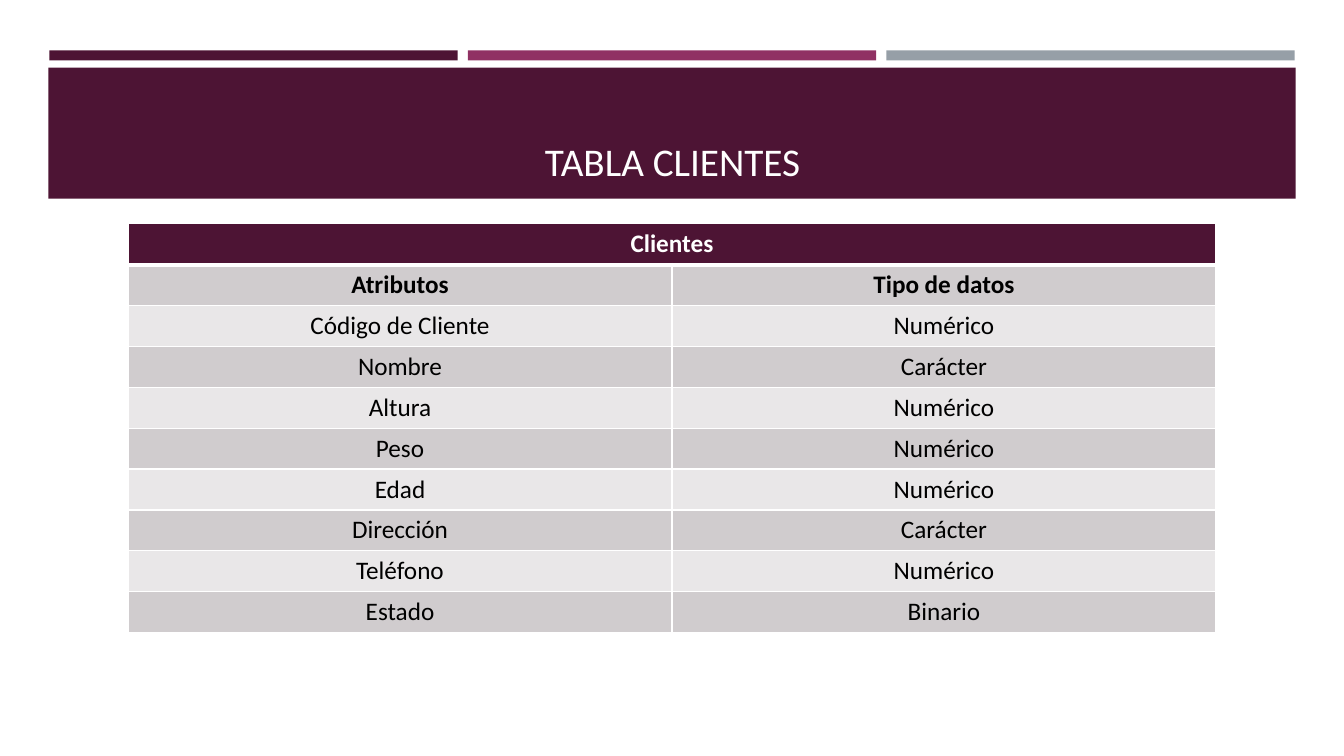
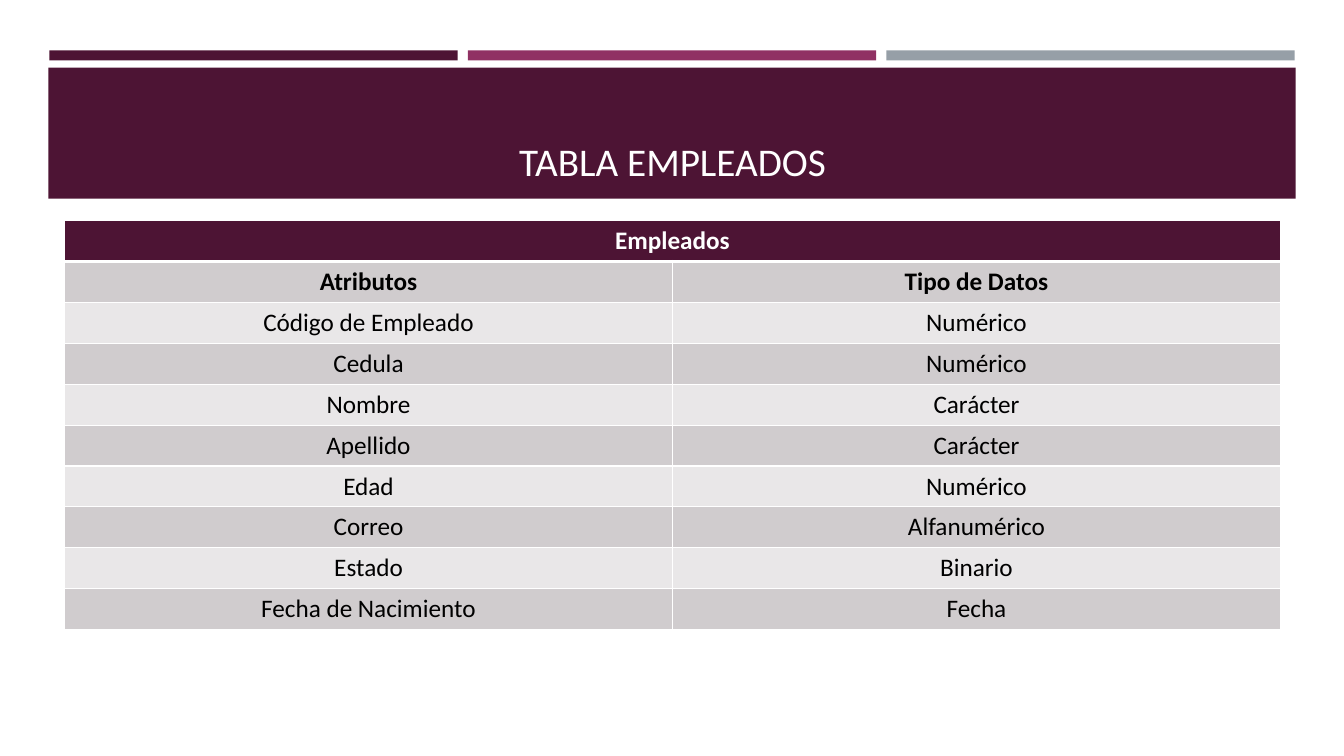
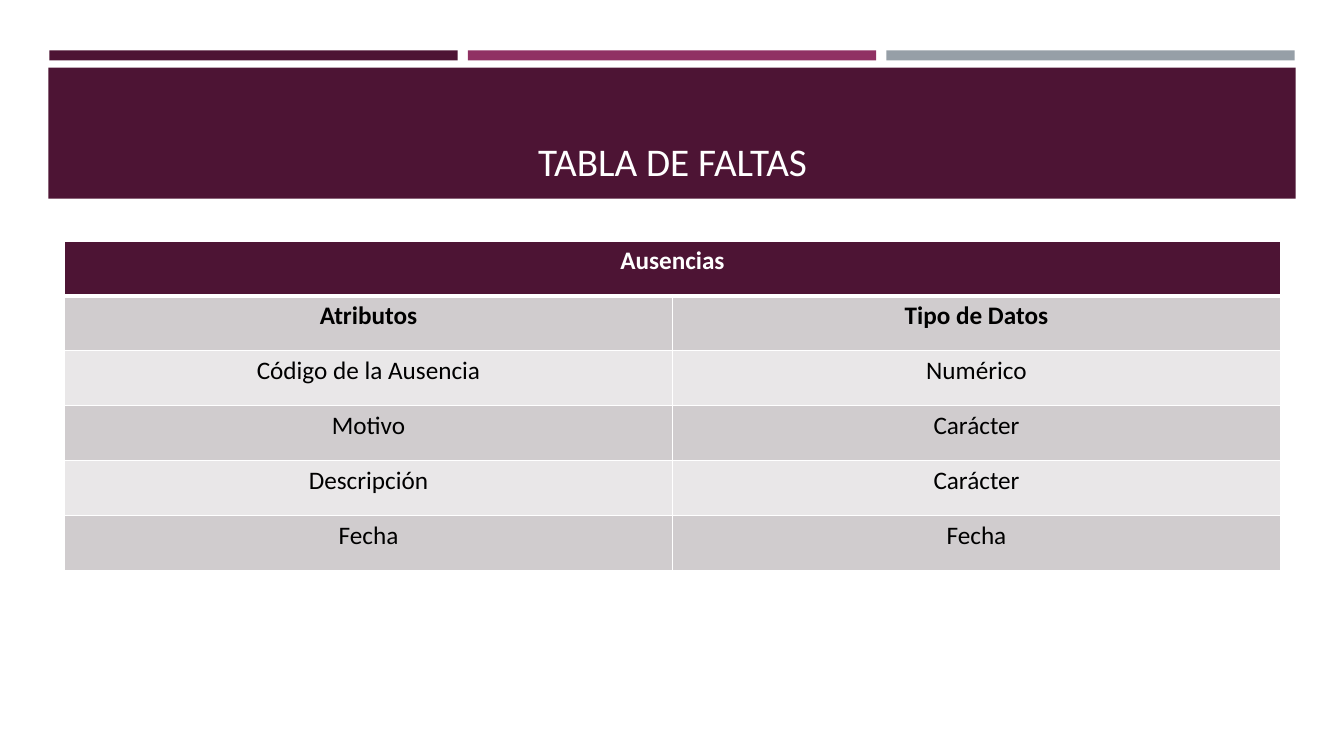
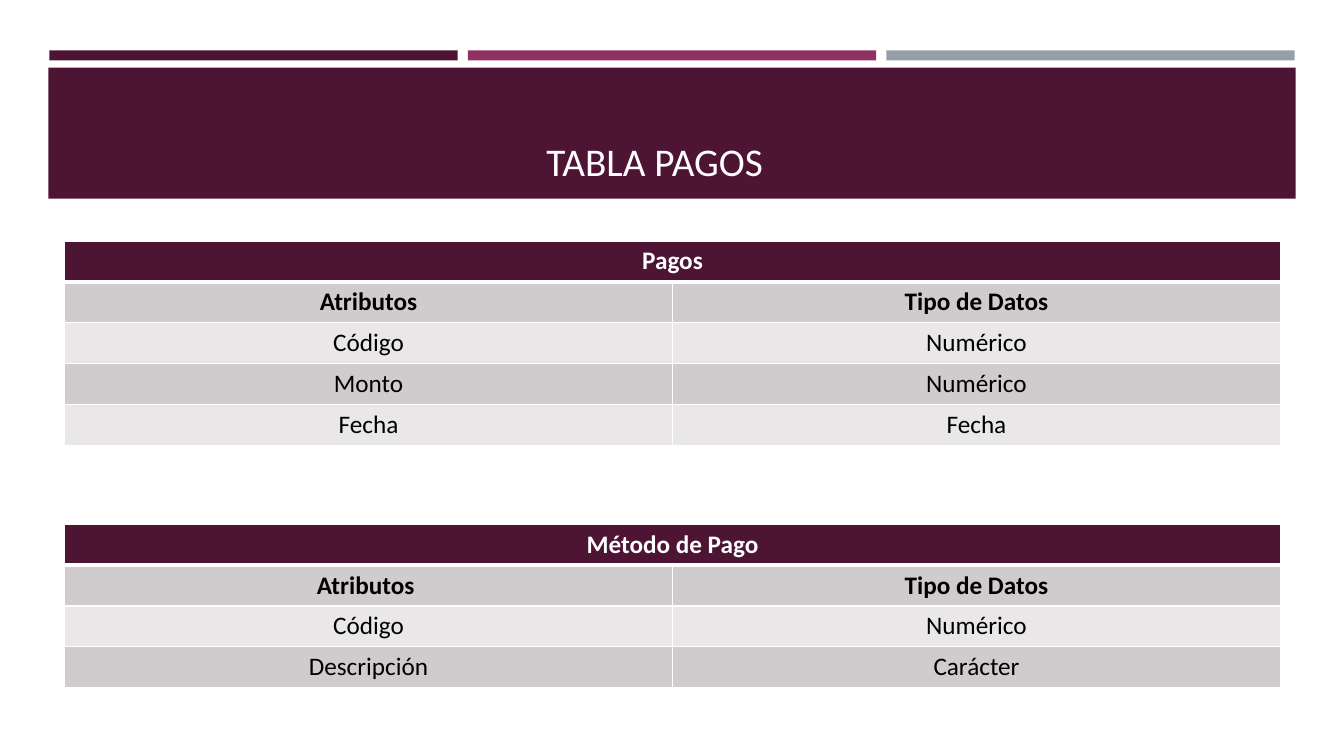
"""Build four slides of tables that list attributes and their data types."""
import pptx
import pptx.dml.color
import pptx.enum.shapes
import pptx.enum.text
import pptx.oxml
import pptx.oxml.ns
import pptx.util

Inches = pptx.util.Inches
Pt = pptx.util.Pt
RGBColor = pptx.dml.color.RGBColor

PLUM = RGBColor(0x4D, 0x14, 0x34)
BERRY = RGBColor(0x90, 0x31, 0x63)
STEEL = RGBColor(0x96, 0x9F, 0xA7)
DARK = RGBColor(0xD0, 0xCC, 0xCE)
LIGHT = RGBColor(0xE9, 0xE7, 0xE8)
WHITE = RGBColor(0xFF, 0xFF, 0xFF)
BLACK = RGBColor(0x00, 0x00, 0x00)
FONT = "Calibri"
LEFT, WIDTH = 0.64, 12.06

CLIENTS = [
    ("Atributos", "Tipo de datos"),
    ("Código de Cliente", "Numérico"),
    ("Nombre", "Carácter"),
    ("Altura", "Numérico"),
    ("Peso", "Numérico"),
    ("Edad", "Numérico"),
    ("Dirección", "Carácter"),
    ("Teléfono", "Numérico"),
    ("Estado", "Binario"),
]
STAFF = [
    ("Atributos", "Tipo de Datos"),
    ("Código de Empleado", "Numérico"),
    ("Cedula", "Numérico"),
    ("Nombre", "Carácter"),
    ("Apellido", "Carácter"),
    ("Edad", "Numérico"),
    ("Correo", "Alfanumérico"),
    ("Estado", "Binario"),
    ("Fecha de Nacimiento", "Fecha"),
]
ABSENCE = [
    ("Atributos", "Tipo de Datos"),
    ("Código de la Ausencia", "Numérico"),
    ("Motivo", "Carácter"),
    ("Descripción", "Carácter"),
    ("Fecha", "Fecha"),
]
PAYMENT = [
    ("Atributos", "Tipo de Datos"),
    ("Código", "Numérico"),
    ("Monto", "Numérico"),
    ("Fecha", "Fecha"),
]
METHOD = [
    ("Atributos ", "Tipo de Datos"),
    ("Código", "Numérico"),
    ("Descripción", "Carácter"),
]


def write(frame, text, size, color, bold=False):
    """Put one centred run into a text frame."""
    par = frame.paragraphs[0]
    par.alignment = pptx.enum.text.PP_ALIGN.CENTER
    run = par.add_run()
    run.text = text
    run.font.name = FONT
    run.font.size = Pt(size)
    run.font.bold = bold
    run.font.color.rgb = color


def add_bands(slide, layout):
    """Draw the title band and its three strips, and hand them to the layout."""
    bands = [(0.48, 0.67, 12.37, 1.3, PLUM)]
    for index, color in enumerate((PLUM, BERRY, STEEL)):
        bands.append((0.49 + index * 4.15, 0.5, 4.05, 0.1, color))
    for index, (left, top, width, height, color) in enumerate(bands):
        band = slide.shapes.add_shape(
            pptx.enum.shapes.MSO_SHAPE.RECTANGLE,
            Inches(left), Inches(top), Inches(width), Inches(height))
        band.shadow.inherit = False
        band.fill.solid()
        band.fill.fore_color.rgb = color
        band.line.fill.background()
        band.element.nvSpPr.cNvPr.set("id", str(20 + index))
        layout.shapes.element.insert(2 + index, band.element)


def add_page(deck, layout, text):
    """Add a slide with its title set on the band."""
    slide = deck.slides.add_slide(layout)
    title = slide.shapes.title
    title.left, title.top = Inches(LEFT), Inches(0.77)
    title.width, title.height = Inches(WIDTH), Inches(1.11)
    frame = title.text_frame
    frame.word_wrap = True
    frame.auto_size = pptx.enum.text.MSO_AUTO_SIZE.NONE
    frame.vertical_anchor = pptx.enum.text.MSO_ANCHOR.BOTTOM
    write(frame, text, 28, WHITE)
    return slide


def set_edge(cell, side, width):
    """Place a white border on one side of a cell, ahead of its fill."""
    props = cell._tc.get_or_add_tcPr()
    edge = pptx.oxml.parse_xml(
        f'<a:{side} {pptx.oxml.ns.nsdecls("a")} w="{Pt(width)}">'
        f'<a:solidFill><a:srgbClr val="{WHITE}"/></a:solidFill></a:{side}>')
    props.append(edge)


def style_cell(cell, row):
    """Set the borders and fill that a cell has in its row."""
    top = 3 if row == 1 else 1
    bottom = 3 if row == 0 else 1
    for side, width in (("lnL", 1), ("lnR", 1), ("lnT", top), ("lnB", bottom)):
        set_edge(cell, side, width)
    cell.fill.solid()
    cell.fill.fore_color.rgb = PLUM if row == 0 else DARK if row % 2 else LIGHT


def add_grid(slide, name, pairs, top, height, left=LEFT, width=WIDTH):
    """Add a table of equal rows with a merged heading over two columns."""
    count = len(pairs) + 1
    table = slide.shapes.add_table(
        count, 2, Inches(left), Inches(top),
        Inches(width), Inches(height)).table
    table.first_row = False
    table.horz_banding = False
    for row in range(count):
        for col in range(2):
            style_cell(table.cell(row, col), row)
    head = table.cell(0, 0)
    head.merge(table.cell(0, 1))
    write(head.text_frame, name, 18, WHITE, True)
    for row, pair in enumerate(pairs, 1):
        for col, text in enumerate(pair):
            write(table.cell(row, col).text_frame, text, 18, BLACK, row == 1)


def main():
    """Build the deck and save it."""
    deck = pptx.Presentation()
    deck.slide_width, deck.slide_height = Inches(13.33), Inches(7.5)
    layout = deck.slide_layouts[5]

    slide = add_page(deck, layout, "TABLA CLIENTES")
    add_bands(slide, layout)
    add_grid(slide, "Clientes", CLIENTS, 2.22, 4.05, left=1.27, width=10.79)

    slide = add_page(deck, layout, "TABLA EMPLEADOS")
    add_grid(slide, "Empleados", STAFF, 2.19, 4.05)

    slide = add_page(deck, layout, "TABLA DE FALTAS")
    add_grid(slide, "Ausencias", ABSENCE, 2.39, 3.27)

    slide = add_page(deck, layout, "TABLA PAGOS\t")
    add_grid(slide, "Pagos", PAYMENT, 2.39, 2.03)
    add_grid(slide, "Método de Pago", METHOD, 5.2, 1.62)

    deck.save("out.pptx")


if __name__ == "__main__":
    main()
